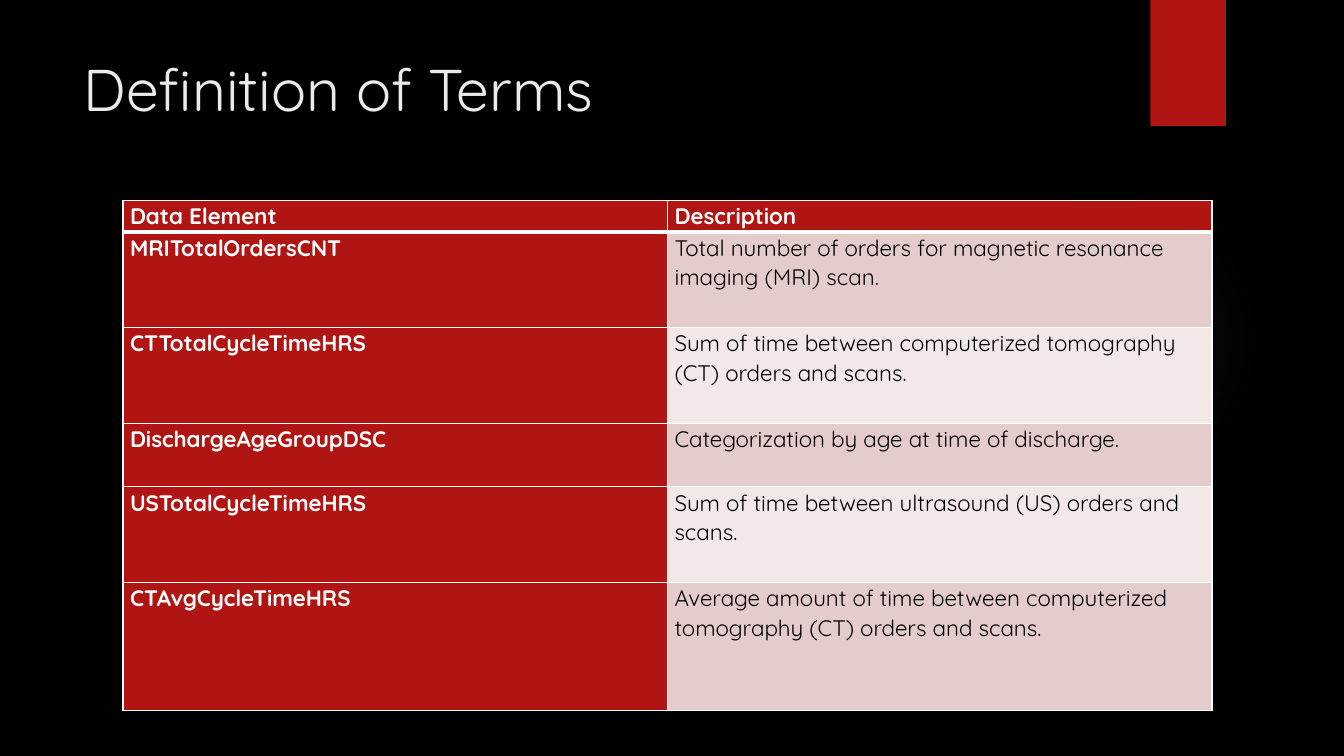
from lxml import etree
from pptx import Presentation
from pptx.dml import color
from pptx.enum import shapes, text
from pptx.oxml import ns
from pptx.util import Inches, Pt

FONT = "Quicksand"
RED = "B01513"
WHITE = "FFFFFF"
BANDS = ["E4CCCC", "F2E8E7"]
TERMS = [
    ("Data Element", "Description"),
    ("MRITotalOrdersCNT", "Total number of orders for magnetic resonance imaging (MRI) scan."),
    ("CTTotalCycleTimeHRS", "Sum of time between computerized tomography (CT) orders and scans."),
    ("DischargeAgeGroupDSC", "Categorization by age at time of discharge."),
    ("USTotalCycleTimeHRS", "Sum of time between ultrasound (US) orders and scans."),
    ("CTAvgCycleTimeHRS", "Average amount of time between computerized tomography (CT) orders and scans."),
]
ROW_HEIGHTS = [0.31, 0.95, 0.95, 0.63, 0.95, 1.27]


def rgb(value):
    return color.RGBColor.from_string(value)


def style_text(paragraph, size, hex_color, bold=False):
    for run in paragraph.runs:
        run.font.name = FONT
        run.font.size = Pt(size)
        run.font.bold = bold
        run.font.color.rgb = rgb(hex_color)


presentation = Presentation()
presentation.slide_width = Inches(13.33)
presentation.slide_height = Inches(7.5)
slide = presentation.slides.add_slide(presentation.slide_layouts[6])
slide.background.fill.solid()
slide.background.fill.fore_color.rgb = rgb("000000")

# Faint round glow behind the table
glow = slide.shapes.add_shape(
    shapes.MSO_SHAPE.OVAL, Inches(9.41), Inches(1.83), Inches(3.08), Inches(3.08))
glow.shadow.inherit = False
glow.line.fill.background()
glow.fill.gradient()
gradient = glow.element.spPr.find(ns.qn("a:gradFill"))
for child in list(gradient):
    gradient.remove(child)
stops = etree.SubElement(gradient, ns.qn("a:gsLst"))
for position, alpha in [(0, 7), (36, 6), (69, 0)]:
    stop = etree.SubElement(stops, ns.qn("a:gs"), pos=str(position * 1000))
    stop_color = etree.SubElement(stop, ns.qn("a:srgbClr"), val="50B9C1")
    etree.SubElement(stop_color, ns.qn("a:alpha"), val=str(alpha * 1000))
circle = etree.SubElement(gradient, ns.qn("a:path"), path="circle")
etree.SubElement(circle, ns.qn("a:fillToRect"), l="50000", t="50000", r="50000", b="50000")

# Red tab at the top edge
tab = slide.shapes.add_shape(
    shapes.MSO_SHAPE.RECTANGLE, Inches(11.41), 0, Inches(0.75), Inches(1.25))
tab.shadow.inherit = False
tab.fill.solid()
tab.fill.fore_color.rgb = rgb(RED)
tab.line.fill.background()

# Title
title = slide.shapes.add_textbox(Inches(0.73), Inches(0.47), Inches(10.23), Inches(1.52))
title.text_frame.word_wrap = True
title.text_frame.text = "Definition of Terms"
style_text(title.text_frame.paragraphs[0], 42, "EBEBEB")

# Table of terms
table = slide.shapes.add_table(
    len(TERMS), 2, Inches(1.22), Inches(1.99), Inches(10.8), Inches(sum(ROW_HEIGHTS))).table
for row_index, (row, height) in enumerate(zip(TERMS, ROW_HEIGHTS)):
    table.rows[row_index].height = Inches(height)
    for column_index, wording in enumerate(row):
        cell = table.cell(row_index, column_index)
        is_description = row_index > 0 and column_index == 1
        cell.margin_left = cell.margin_right = Inches(0.07)
        cell.margin_top = cell.margin_bottom = 0
        cell.vertical_anchor = text.MSO_ANCHOR.TOP
        cell.text_frame.text = wording
        paragraph = cell.text_frame.paragraphs[0]
        paragraph.line_spacing = 1.07
        style_text(paragraph, 16, "000000" if is_description else WHITE, not is_description)

        # White borders, thicker below the header
        properties = cell._tc.get_or_add_tcPr()
        for side in ["lnL", "lnR", "lnT", "lnB"]:
            under_header = (row_index, side) in [(0, "lnB"), (1, "lnT")]
            border = etree.SubElement(
                properties, ns.qn("a:" + side), w=str(Pt(3 if under_header else 1)))
            border_fill = etree.SubElement(border, ns.qn("a:solidFill"))
            etree.SubElement(border_fill, ns.qn("a:srgbClr"), val=WHITE)

        cell.fill.solid()
        cell.fill.fore_color.rgb = rgb(BANDS[(row_index - 1) % 2] if is_description else RED)

presentation.save("out.pptx")
